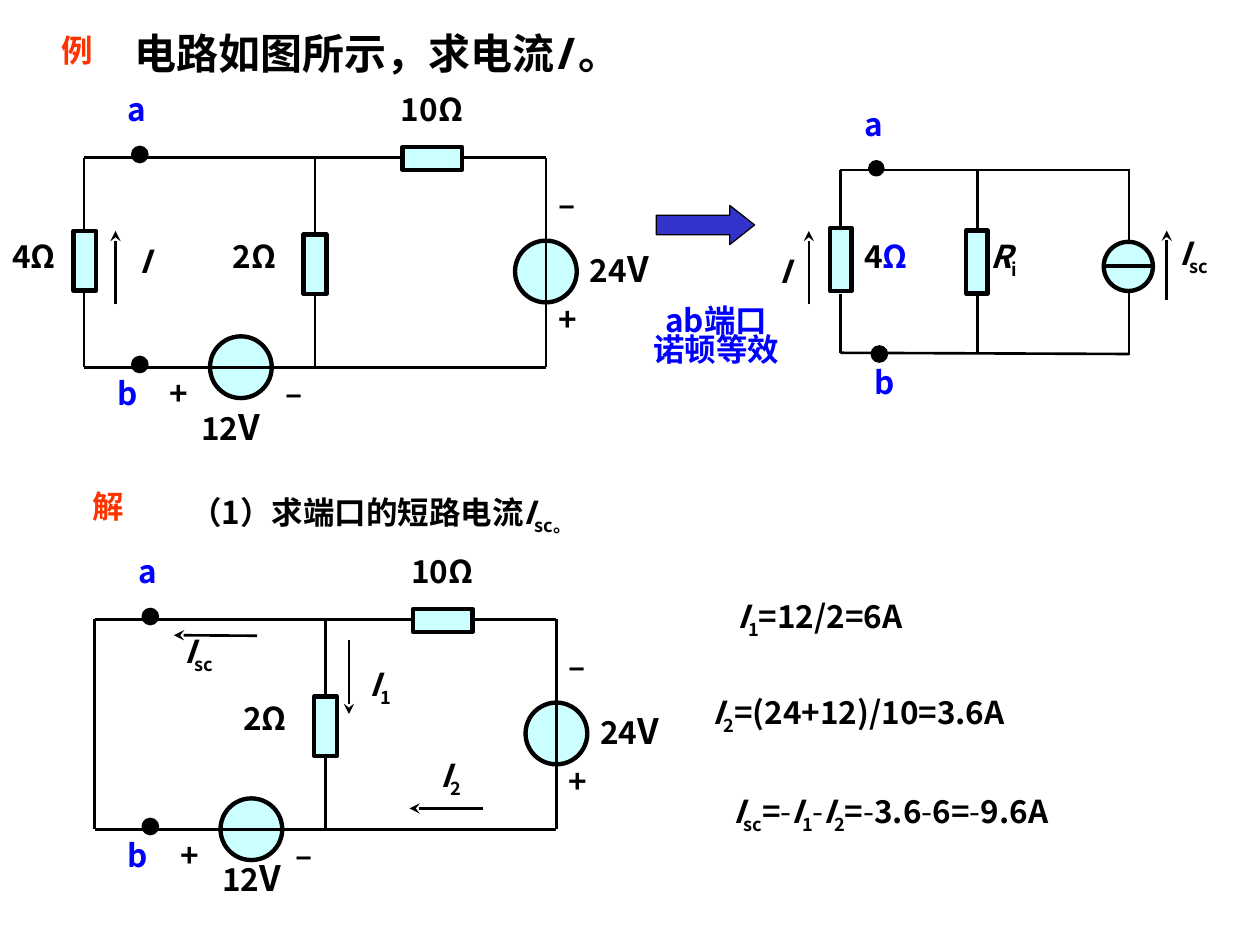
"""Build the Norton-equivalent worked example slide with three circuit diagrams."""
from dataclasses import dataclass
from typing import Optional

from lxml.etree import SubElement
from pptx import Presentation
from pptx.dml.color import RGBColor as Rgb
from pptx.enum.shapes import MSO_CONNECTOR as Connector, MSO_SHAPE as Preset
from pptx.enum.text import MSO_ANCHOR as Anchor, PP_ALIGN as Align
from pptx.oxml.ns import qn
from pptx.util import Pt


@dataclass(frozen=True)
class Theme:
    font: str = "Noto Sans CJK SC"
    ink: Rgb = Rgb(0, 0, 0)
    terminal: Rgb = Rgb(0, 0, 255)
    heading: Rgb = Rgb(255, 51, 0)
    component: Rgb = Rgb(204, 255, 255)
    arrow: Rgb = Rgb(51, 51, 204)
    body: float = 18
    unit: float = 20
    title: float = 24
    wire: float = 1.5
    outline: float = 2.5
    thin: float = 0.75


THEME = Theme()


@dataclass(frozen=True)
class Piece:
    text: str
    color: Rgb = THEME.ink
    size: float = THEME.body
    bold: bool = True
    italic: bool = False
    lowered: bool = False


@dataclass(frozen=True)
class Label:
    left: float
    top: float
    width: float
    lines: tuple[tuple[Piece, ...], ...]
    anchor: Anchor = Anchor.TOP
    align: Align = Align.LEFT
    height: float = 36
    spacing: Optional[float] = None


@dataclass(frozen=True)
class Wire:
    x1: float
    y1: float
    x2: float
    y2: float
    weight: float = THEME.wire
    arrow: bool = False


@dataclass(frozen=True)
class Component:
    preset: Preset
    left: float
    top: float
    width: float
    height: float
    fill: Rgb = THEME.component
    weight: float = THEME.outline


def symbol(name: str, index: str = "") -> tuple[Piece, ...]:
    """Return an italic quantity with an optional lowered index."""
    base = (Piece(name, italic=True),)
    return base + (Piece(index, lowered=True),) if index else base


def volts(value: str) -> tuple[Piece, ...]:
    """Return a voltage with its larger unit letter."""
    return Piece(value), Piece("V", size=THEME.unit)


def note(left: float, top: float, width: float, *pieces: Piece) -> Label:
    """Return a left-aligned one-line label."""
    return Label(left, top, width, (pieces,))


def middle(left: float, top: float, width: float, *pieces: Piece) -> Label:
    """Return a centred one-line label."""
    return Label(left, top, width, (pieces,), Anchor.MIDDLE, Align.CENTER)


def terminal(name: str, left: float, top: float) -> Label:
    """Return the label of a port terminal."""
    return note(left, top, 30, Piece(name, THEME.terminal))


def current_arrow(x1: float, y1: float, x2: float, y2: float) -> Wire:
    """Return a wire-weight arrow marking a current direction."""
    return Wire(x1, y1, x2, y2, arrow=True)


def resistor(left: float, top: float, width: float = 13, height: float = 34) -> Component:
    """Return a resistor box."""
    return Component(Preset.RECTANGLE, left, top, width, height)


def source(left: float, top: float, size: float = 35.3) -> Component:
    """Return a round source."""
    return Component(Preset.OVAL, left, top, size, size)


def node(left: float, top: float, size: float = 8.6) -> Component:
    """Return a filled terminal dot."""
    return Component(Preset.OVAL, left, top, size, size, THEME.ink, THEME.wire)


def draw_label(shapes, label: Label, dx: float = 0, dy: float = 0) -> None:
    """Add a text box, run by run."""
    box = shapes.add_textbox(Pt(label.left + dx), Pt(label.top + dy), Pt(label.width), Pt(label.height))
    frame = box.text_frame
    frame.word_wrap = True
    frame.vertical_anchor = label.anchor
    for index, line in enumerate(label.lines):
        paragraph = frame.add_paragraph() if index else frame.paragraphs[0]
        paragraph.alignment = label.align
        if label.spacing:
            paragraph.line_spacing = label.spacing
        if index:
            paragraph.space_before = Pt(6)
        for piece in line:
            run = paragraph.add_run()
            run.text = piece.text
            font = run.font
            font.name, font.size = THEME.font, Pt(piece.size)
            font.bold, font.italic = piece.bold, piece.italic
            font.color.rgb = piece.color
            properties = run._r.get_or_add_rPr()
            SubElement(properties, qn("a:ea"), typeface=THEME.font)
            if piece.lowered:
                properties.set("baseline", "-25000")


def draw_wire(shapes, wire: Wire, dx: float = 0, dy: float = 0) -> None:
    """Add a straight connector, with an arrowhead where asked."""
    line = shapes.add_connector(Connector.STRAIGHT, Pt(wire.x1 + dx), Pt(wire.y1 + dy),
                                Pt(wire.x2 + dx), Pt(wire.y2 + dy))
    line.line.color.rgb, line.line.width = THEME.ink, Pt(wire.weight)
    if wire.arrow:
        SubElement(line.line._get_or_add_ln(), qn("a:tailEnd"), type="stealth")
    SubElement(line._element.spPr, qn("a:effectLst"))


def draw_component(shapes, item: Component, dx: float = 0, dy: float = 0):
    """Add a filled and outlined preset shape."""
    shape = shapes.add_shape(item.preset, Pt(item.left + dx), Pt(item.top + dy), Pt(item.width), Pt(item.height))
    shape.shadow.inherit = False
    shape.fill.solid()
    shape.fill.fore_color.rgb = item.fill
    shape.line.color.rgb, shape.line.width = THEME.ink, Pt(item.weight)
    return shape


DRAW = {Label: draw_label, Wire: draw_wire, Component: draw_component}

NETWORK = (
    note(126, 132, 48, Piece("2Ω")), note(222, 48, 60, Piece("10Ω")), note(330, 138, 54, *volts("24")),
    note(312, 168, 24, Piece("+")), note(312, 102, 30, Piece("–")),
    note(90, 210, 20, Piece("+")), note(156, 210, 30, Piece("–")),
    terminal("a", 66, 48), terminal("b", 60, 210),
    Wire(48, 90, 234, 90), Wire(264, 90, 312, 90), Wire(48, 210, 312, 210), Wire(312, 90, 312, 210),
    Wire(180, 90, 180, 138), Wire(180, 168, 180, 210),
    source(120, 192.2), Wire(120, 210, 156, 210), source(294.3, 137.5), Wire(312, 137.5, 312, 173.5),
    resistor(173.5, 134), resistor(230, 84, 34, 13), node(75.6, 84), node(75.6, 204),
)
LOADED_PORT = (
    note(108, 228, 60, *volts("12")), note(0, 132, 48, Piece("4Ω")), middle(70.6, 131, 24, *symbol("I")),
    current_arrow(66, 174, 66, 132), Wire(48, 90, 48, 132), Wire(48, 167, 48, 210), resistor(42, 132),
)
SHORTED_PORT = (
    note(120, 486, 60, *volts("12")), Wire(54, 354, 54, 474),
    middle(95, 355.7, 37.5, *symbol("I", "sc")), current_arrow(147, 363.3, 99.4, 363),
    middle(198.7, 374.4, 37.5, *symbol("I", "1")), current_arrow(199.4, 366, 199.4, 408),
    middle(239, 426.2, 37.5, *symbol("I", "2")), current_arrow(276, 462, 234, 462),
)
NORTON = (
    note(486.7, 131.8, 48, Piece("4"), Piece("Ω", THEME.terminal)), middle(434.2, 136.8, 28.8, *symbol("I")),
    note(558.7, 131.8, 78, *symbol("R", "i")), note(666.7, 130.3, 50, *symbol("I", "sc")),
    terminal("a", 486.7, 56.2), terminal("b", 492.5, 203.8),
    Wire(480.2, 97.2, 645.8, 97.2), Wire(480.2, 201.6, 645.1, 202.3),
    Wire(480.2, 97.2, 480.2, 130.3), Wire(480.2, 167.8, 480.2, 202),
    Wire(558.4, 97.2, 558.4, 131.8), Wire(558.4, 167.8, 558.4, 202),
    Wire(645.1, 97.9, 645.1, 138.2), Wire(645.1, 167, 645.1, 203),
    resistor(474.5, 130.3, 12.2, 36), resistor(552.2, 131.8, 12.2, 36),
    source(630.7, 138.2, 28.1), Wire(658.8, 152, 630.7, 152, THEME.outline),
    node(496.8, 92.2, 7.9), node(498.2, 198),
    current_arrow(462.2, 174, 462.2, 132), current_arrow(666.7, 171.4, 666.7, 131.8),
)
MINUS = Piece("-", bold=False)
RESULT = (*symbol("I", "sc"), Piece("="), MINUS, *symbol("I", "1"), MINUS, *symbol("I", "2"), Piece("="),
          MINUS, Piece("3.6"), MINUS, Piece("6="), MINUS, Piece("9.6A"))
PROSE = (
    middle(1.8, 10.8, 84.2, Piece("例", THEME.heading)),
    middle(48.6, 12.2, 334, Piece("电路如图所示，求电流", size=THEME.title),
           Piece("I ", size=THEME.title, italic=True), Piece("。", size=THEME.title)),
    middle(19.8, 271.4, 84.2, Piece("解", THEME.heading)),
    middle(61, 275.8, 313.2, Piece("（1）求端口的短路电流"), *symbol("I", "sc。")),
    middle(397, 335.5, 143.3, *symbol("I", "1"), Piece("=12/2=6A")),
    middle(380.3, 390.2, 221, *symbol("I", "2"), Piece("=(24+12)/10=3.6A")),
    Label(411.8, 447.1, 262, (RESULT,), Anchor.MIDDLE),
    Label(354.2, 177.8, 110.2, ((Piece("ab端口", THEME.terminal),), (Piece("诺顿等效", THEME.terminal),)),
          align=Align.CENTER, height=50.4, spacing=0.5),
)


def main() -> None:
    """Draw every group and save the deck."""
    deck = Presentation()
    deck.slide_width, deck.slide_height = Pt(720), Pt(540)
    shapes = deck.slides.add_slide(deck.slide_layouts[6]).shapes
    groups = ((PROSE, 0, 0), (NETWORK, 0, 0), (LOADED_PORT, 0, 0), (NORTON, 0, 0),
              (NETWORK, 6, 264), (SHORTED_PORT, 0, 0))
    for items, dx, dy in groups:
        for item in items:
            DRAW[type(item)](shapes, item, dx, dy)
    block_arrow = Component(Preset.RIGHT_ARROW, 375, 117.4, 56.2, 22.3, THEME.arrow, THEME.thin)
    draw_component(shapes, block_arrow).adjustments[1] = 0.635
    deck.save("out.pptx")


if __name__ == "__main__":
    main()
